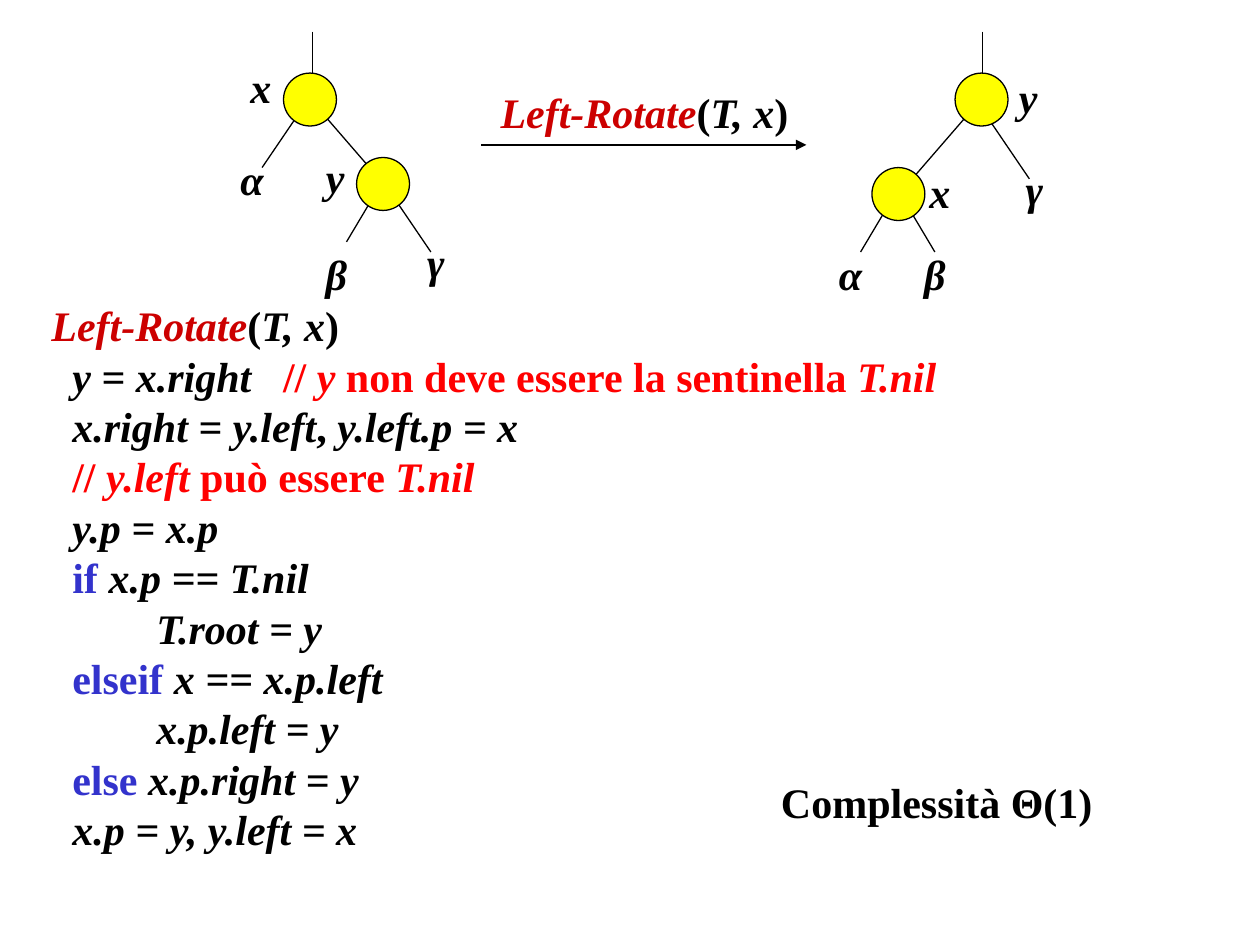
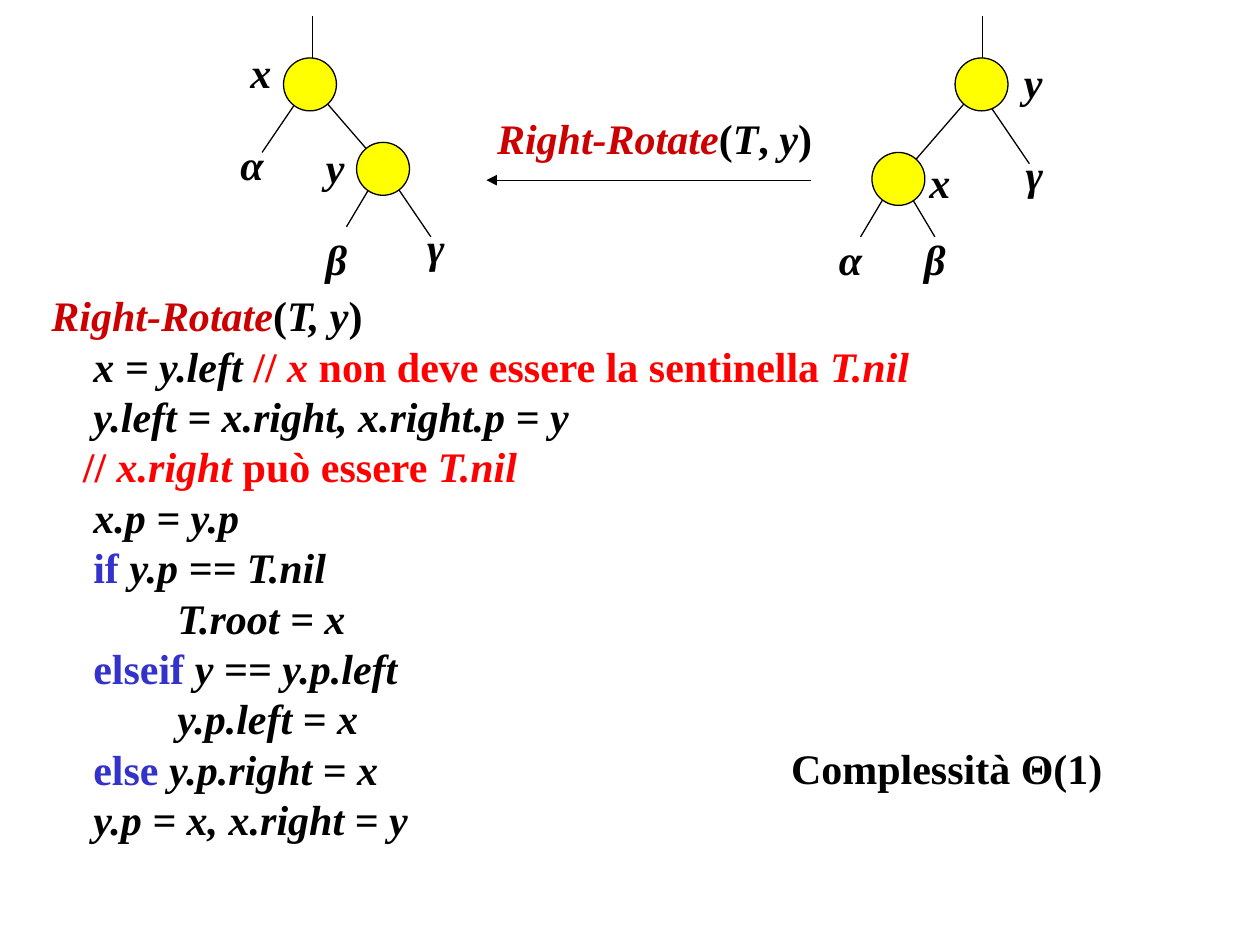
from dataclasses import dataclass

from lxml.etree import SubElement
from pptx import Presentation
from pptx.dml.color import RGBColor
from pptx.enum.shapes import MSO_CONNECTOR, MSO_SHAPE
from pptx.enum.text import MSO_ANCHOR, PP_ALIGN
from pptx.oxml.ns import qn
from pptx.util import Inches, Pt


@dataclass(frozen=True)
class Theme:
    font: str = "Times New Roman"
    size: int = 24
    line_width: float = 0.75
    ink: str = "000000"
    procedure: str = "CC0000"
    comment: str = "FF0000"
    keyword: str = "3333CC"
    node: str = "FFFF00"


THEME = Theme()

# Text styles: (colour, italic)
PLAIN = (THEME.ink, False)
VAR = (THEME.ink, True)
PROC = (THEME.procedure, True)
KEY = (THEME.keyword, False)
NOTE = (THEME.comment, False)
NOTE_VAR = (THEME.comment, True)

NODE_SIZE = 0.42
LABEL_W, LINE_H = 0.6, 0.5

# Lines run from one point to the other; nodes and labels are given by centre.
TREE_EDGES = [
    ((2.48, 0.25), (2.48, 0.82)),
    ((2.42, 0.83), (2.08, 1.33)),
    ((2.5, 0.83), (3.08, 1.5)),
    ((3, 1.5), (2.75, 1.92)),
    ((3.08, 1.5), (3.42, 2)),
    ((7.8, 0.25), (7.8, 0.82)),
    ((7.17, 1.5), (7.75, 0.83)),
    ((7.83, 0.92), (8.17, 1.42)),
    ((7.08, 1.58), (6.83, 2)),
    ((7.17, 1.58), (7.42, 2)),
]
TREE_NODES = [(2.46, 0.79), (3.04, 1.46), (7.79, 0.79), (7.13, 1.54)]
TREE_LABELS = {
    "left root": ("x", 2.07, 0.69),
    "left child": ("y", 2.66, 1.40),
    "left alpha": ("α", 2.0, 1.42),
    "left beta": ("β", 2.67, 2.17),
    "left gamma": ("γ", 3.46, 2.08),
    "right root": ("y", 8.16, 0.77),
    "right child": ("x", 7.46, 1.52),
    "right alpha": ("α", 6.75, 2.17),
    "right beta": ("β", 7.42, 2.17),
    "right gamma": ("γ", 8.21, 1.5),
}

COMPLEXITY = [(PLAIN, "Complessità Θ(1)")]

ROTATIONS = [
    {
        "tree_shift": 0,
        "label_nudges": {},
        "arrow": ((3.82, 1.15), (6.4, 1.15)),
        "caption_at": (3.7, 0.64, 2.83, LINE_H),
        "caption": [(PROC, "Left-Rotate"), (PLAIN, "("), (VAR, "T, x"), (PLAIN, ")")],
        "code_at": (0.31, 2.33, 9.37, 4.54),
        "code": [
            [(PROC, "Left-Rotate"), (PLAIN, "("), (VAR, "T, x"), (PLAIN, ")")],
            [(VAR, "  y = x.right   "), (NOTE, "// "), (NOTE_VAR, "y"),
             (NOTE, " non deve essere la sentinella "), (NOTE_VAR, "T.nil")],
            [(VAR, "  x.right = y.left"), (PLAIN, ", "), (VAR, "y.left.p = x")],
            [(NOTE, "  // "), (NOTE_VAR, "y.left"), (NOTE, " può essere "),
             (NOTE_VAR, "T.nil")],
            [(VAR, "  y.p = x.p")],
            [(KEY, "  if "), (VAR, "x.p == T.nil")],
            [(VAR, "          T.root = y")],
            [(KEY, "  elseif "), (VAR, "x == x.p.left")],
            [(VAR, "          x.p.left = y")],
            [(KEY, "  else "), (VAR, "x.p.right = y")],
            [(VAR, "  x.p = y, y.left = x")],
        ],
        "complexity_at": (6.1, 6.11, 3.54, LINE_H),
    },
    {
        "tree_shift": -0.12,
        "label_nudges": {"left child": (0, 0.04), "right child": (0, 0.04),
                         "right root": (0.04, 0)},
        "arrow": ((6.44, 1.43), (3.86, 1.43)),
        "caption_at": (3.62, 0.84, 3.15, LINE_H),
        "caption": [(PROC, "Right-Rotate"), (PLAIN, "("), (VAR, "T"), (PLAIN, ", "),
                    (VAR, "y"), (PLAIN, ")")],
        "code_at": (0.31, 2.25, 9.33, 4.54),
        "code": [
            [(PROC, "Right-Rotate"), (PLAIN, "("), (VAR, "T, y"), (PLAIN, ")")],
            [(VAR, "    x = y.left "), (NOTE, "// "), (NOTE_VAR, "x"),
             (NOTE, " non deve essere la sentinella "), (NOTE_VAR, "T.nil")],
            [(VAR, "    y.left = x.right, x.right.p = y")],
            [(NOTE, "   // "), (NOTE_VAR, "x.right"), (NOTE, " può essere "),
             (NOTE_VAR, "T.nil")],
            [(VAR, "    x.p = y.p")],
            [(KEY, "    if "), (VAR, "y.p == T.nil")],
            [(VAR, "            T.root = x")],
            [(KEY, "    elseif "), (VAR, "y == y.p.left")],
            [(VAR, "            y.p.left = x")],
            [(KEY, "    else "), (VAR, "y.p.right = x")],
            [(VAR, "    y.p = x, x.right = y")],
        ],
        "complexity_at": (6.18, 5.84, 3.54, LINE_H),
    },
]


def rgb(colour):
    return RGBColor.from_string(colour)


def add_text(s, at, lines, centred=False):
    """Add a text box; each line is a list of (style, text) runs."""
    tf = s.shapes.add_textbox(*map(Inches, at)).text_frame
    tf.word_wrap = not centred
    tf.vertical_anchor = MSO_ANCHOR.MIDDLE if centred else MSO_ANCHOR.TOP
    for i, runs in enumerate(lines):
        p = tf.add_paragraph() if i else tf.paragraphs[0]
        p.alignment = PP_ALIGN.CENTER if centred else PP_ALIGN.LEFT
        for (colour, italic), text in runs:
            r = p.add_run()
            r.text = text
            r.font.name = THEME.font
            r.font.size = Pt(THEME.size)
            r.font.bold = True
            r.font.italic = italic
            r.font.color.rgb = rgb(colour)


def add_line(s, start, end, arrow=False):
    line = s.shapes.add_connector(MSO_CONNECTOR.STRAIGHT,
                                  *map(Inches, (*start, *end)))
    line.line.color.rgb = rgb(THEME.ink)
    line.line.width = Pt(THEME.line_width)
    if arrow:
        SubElement(line.line._get_or_add_ln(), qn("a:tailEnd"), type="triangle")
    SubElement(line._element.spPr, qn("a:effectLst"))


def add_node(s, cx, cy):
    half = NODE_SIZE / 2
    node = s.shapes.add_shape(MSO_SHAPE.OVAL, Inches(cx - half), Inches(cy - half),
                              Inches(NODE_SIZE), Inches(NODE_SIZE))
    node.shadow.inherit = False
    node.fill.solid()
    node.fill.fore_color.rgb = rgb(THEME.node)
    node.line.color.rgb = rgb(THEME.ink)
    node.line.width = Pt(THEME.line_width)


def add_trees(s, shift, nudges):
    """Draw both trees, moved down by shift, with single labels nudged."""
    for (x1, y1), (x2, y2) in TREE_EDGES:
        add_line(s, (x1, y1 + shift), (x2, y2 + shift))
    for cx, cy in TREE_NODES:
        add_node(s, cx, cy + shift)
    for place, (text, cx, cy) in TREE_LABELS.items():
        dx, dy = nudges.get(place, (0, 0))
        at = (cx + dx - LABEL_W / 2, cy + dy + shift - LINE_H / 2, LABEL_W, LINE_H)
        add_text(s, at, [[(VAR, text)]], centred=True)


def add_rotation(prs, rotation):
    s = prs.slides.add_slide(prs.slide_layouts[6])
    add_trees(s, rotation["tree_shift"], rotation["label_nudges"])
    add_line(s, *rotation["arrow"], arrow=True)
    add_text(s, rotation["caption_at"], [rotation["caption"]], centred=True)
    add_text(s, rotation["code_at"], rotation["code"])
    add_text(s, rotation["complexity_at"], [COMPLEXITY])


def main():
    prs = Presentation()
    prs.slide_width, prs.slide_height = Inches(10), Inches(7.5)
    for rotation in ROTATIONS:
        add_rotation(prs, rotation)
    prs.save("out.pptx")


if __name__ == "__main__":
    main()
